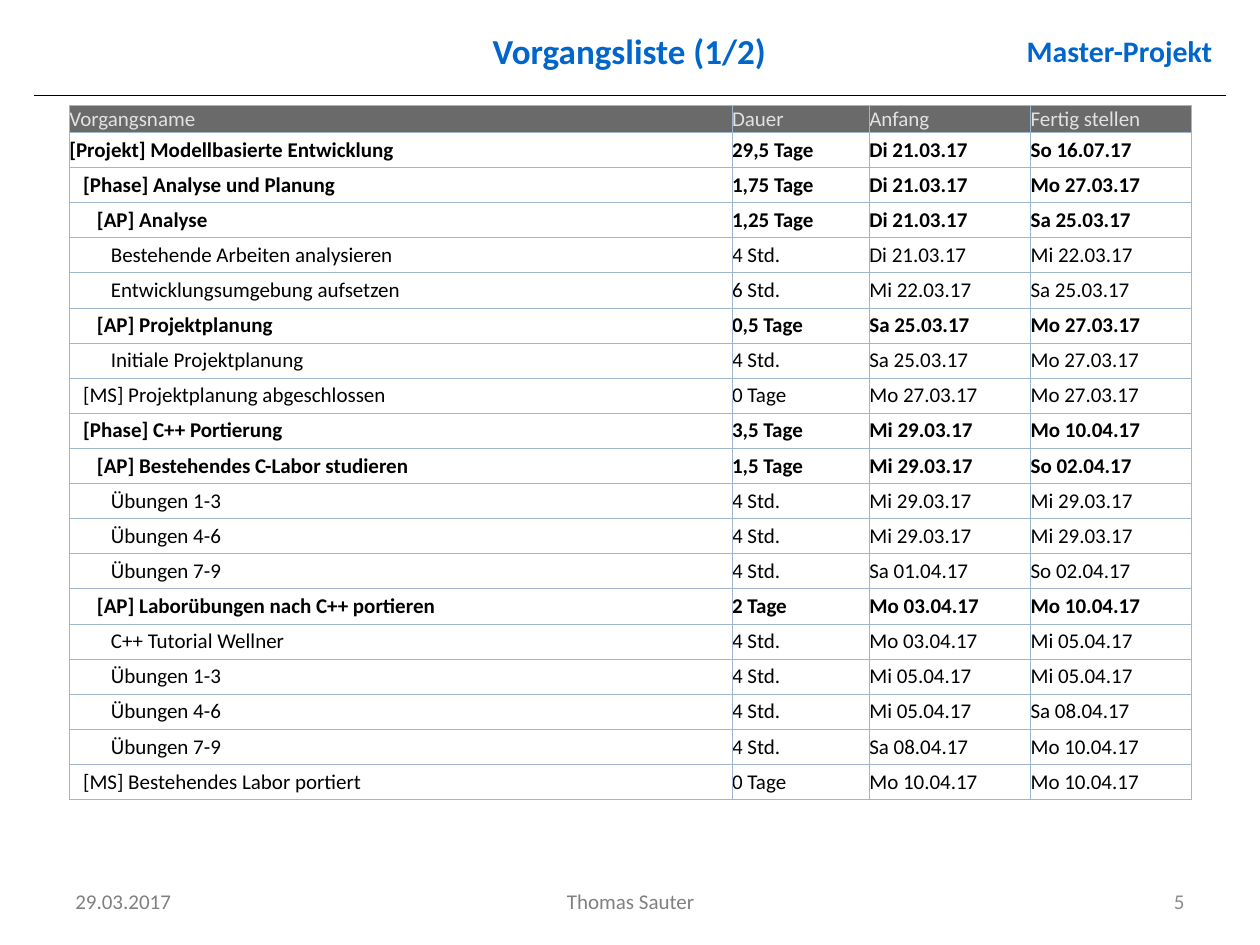
from lxml import etree
from pptx import Presentation
from pptx import util as u
from pptx.dml.color import RGBColor
from pptx.enum import shapes, text
from pptx.oxml.ns import qn

FONT = "Calibri"
BLUE, GREY = "0066CC", "808080"
COLUMN_WIDTHS = (5.26, 1.09, 1.28, 1.28)
TABLE_HEIGHT, HEADER_HEIGHT = 5.51, 0.21
LEVEL_INDENT = 0.11
SUMMARY_TAGS = ("[Projekt]", "[Phase]", "[AP]")
HEADINGS = ("Vorgangsname", "Dauer", "Anfang", "Fertig stellen")

# Outline level, task name, duration, start, finish
TASKS = [
    (0, "[Projekt] Modellbasierte Entwicklung", "29,5 Tage", "Di 21.03.17", "So 16.07.17"),
    (1, "[Phase] Analyse und Planung", "1,75 Tage", "Di 21.03.17", "Mo 27.03.17"),
    (2, "[AP] Analyse", "1,25 Tage", "Di 21.03.17", "Sa 25.03.17"),
    (3, "Bestehende Arbeiten analysieren", "4 Std.", "Di 21.03.17", "Mi 22.03.17"),
    (3, "Entwicklungsumgebung aufsetzen", "6 Std.", "Mi 22.03.17", "Sa 25.03.17"),
    (2, "[AP] Projektplanung", "0,5 Tage", "Sa 25.03.17", "Mo 27.03.17"),
    (3, "Initiale Projektplanung", "4 Std.", "Sa 25.03.17", "Mo 27.03.17"),
    (1, "[MS] Projektplanung abgeschlossen", "0 Tage", "Mo 27.03.17", "Mo 27.03.17"),
    (1, "[Phase] C++ Portierung", "3,5 Tage", "Mi 29.03.17", "Mo 10.04.17"),
    (2, "[AP] Bestehendes C-Labor studieren", "1,5 Tage", "Mi 29.03.17", "So 02.04.17"),
    (3, "Übungen 1-3", "4 Std.", "Mi 29.03.17", "Mi 29.03.17"),
    (3, "Übungen 4-6", "4 Std.", "Mi 29.03.17", "Mi 29.03.17"),
    (3, "Übungen 7-9", "4 Std.", "Sa 01.04.17", "So 02.04.17"),
    (2, "[AP] Laborübungen nach C++ portieren", "2 Tage", "Mo 03.04.17", "Mo 10.04.17"),
    (3, "C++ Tutorial Wellner", "4 Std.", "Mo 03.04.17", "Mi 05.04.17"),
    (3, "Übungen 1-3", "4 Std.", "Mi 05.04.17", "Mi 05.04.17"),
    (3, "Übungen 4-6", "4 Std.", "Mi 05.04.17", "Sa 08.04.17"),
    (3, "Übungen 7-9", "4 Std.", "Sa 08.04.17", "Mo 10.04.17"),
    (1, "[MS] Bestehendes Labor portiert", "0 Tage", "Mo 10.04.17", "Mo 10.04.17"),
]


def color(value):
    return RGBColor.from_string(value)


def write(frame, content, size, ink, bold=False, align=text.PP_ALIGN.LEFT):
    frame.text = content
    para = frame.paragraphs[0]
    para.alignment = align
    font = para.runs[0].font
    font.name, font.size, font.bold = FONT, u.Pt(size), bold
    font.color.rgb = color(ink)


def format_box(box, place, content, size, ink, bold, align):
    box.left, box.top, box.width, box.height = map(u.Inches, place)
    frame = box.text_frame
    frame.word_wrap = True
    frame.auto_size = text.MSO_AUTO_SIZE.NONE
    frame.vertical_anchor = text.MSO_ANCHOR.MIDDLE
    write(frame, content, size, ink, bold, align)


def add_text(page, place, content, size, ink, bold=False, align=text.PP_ALIGN.LEFT):
    box = page.shapes.add_textbox(*map(u.Inches, place))
    format_box(box, place, content, size, ink, bold, align)


def add_rule(page):
    rule = page.shapes.add_connector(
        shapes.MSO_CONNECTOR.STRAIGHT,
        u.Inches(0.27), u.Inches(0.76), u.Inches(9.73), u.Inches(0.76))
    rule.line.color.rgb = color("000000")
    rule.line.width = u.Pt(0.75)
    etree.SubElement(rule._element.spPr, qn("a:effectLst"))


def set_borders(cell, ink, width):
    properties = cell._tc.get_or_add_tcPr()
    for side in ("lnL", "lnR", "lnT", "lnB"):
        border = etree.SubElement(properties, qn("a:" + side), w=str(u.Pt(width)))
        fill = etree.SubElement(border, qn("a:solidFill"))
        etree.SubElement(fill, qn("a:srgbClr"), val=ink)


def format_cell(cell, content, ink, fill, bold=False, level=0):
    cell.margin_left = u.Inches(LEVEL_INDENT * level)
    cell.margin_right = cell.margin_top = cell.margin_bottom = 0
    cell.vertical_anchor = text.MSO_ANCHOR.MIDDLE
    write(cell.text_frame, content, 12, ink, bold)
    set_borders(cell, "9EB6CE", 0.5)
    cell.fill.solid()
    cell.fill.fore_color.rgb = color(fill)


def add_task_table(page):
    table = page.shapes.add_table(
        len(TASKS) + 1, len(HEADINGS), u.Inches(0.55), u.Inches(0.84),
        u.Inches(sum(COLUMN_WIDTHS)), u.Inches(TABLE_HEIGHT)).table
    for column, width in zip(table.columns, COLUMN_WIDTHS):
        column.width = u.Inches(width)
    for row in table.rows:
        row.height = u.Inches((TABLE_HEIGHT - HEADER_HEIGHT) / len(TASKS))
    table.rows[0].height = u.Inches(HEADER_HEIGHT)

    for column, heading in enumerate(HEADINGS):
        format_cell(table.cell(0, column), heading, "E2E2E2", "6A6A6A")
    for row, (level, *values) in enumerate(TASKS, start=1):
        bold = values[0].startswith(SUMMARY_TAGS)
        for column, value in enumerate(values):
            format_cell(table.cell(row, column), value, "000000", "FFFFFF",
                        bold, level if column == 0 else 0)


def main():
    deck = Presentation()
    deck.slide_width, deck.slide_height = u.Inches(10), u.Inches(7.5)
    page = deck.slides.add_slide(deck.slide_layouts[5])
    center, right = text.PP_ALIGN.CENTER, text.PP_ALIGN.RIGHT

    # Header
    add_rule(page)
    format_box(page.shapes.title, (2.12, 0.2, 5.75, 0.4),
               "Vorgangsliste (1/2)", 20, BLUE, True, center)
    add_text(page, (7.99, 0.18, 1.73, 0.44), "Master-Projekt", 17, BLUE, True, right)

    # Footer
    add_text(page, (0.5, 6.95, 2.33, 0.4), "29.03.2017", 12, GREY)
    add_text(page, (3.42, 6.95, 3.17, 0.4), "Thomas Sauter", 12, GREY, align=center)
    add_text(page, (7.17, 6.95, 2.33, 0.4), "5", 12, "8C8C8C", align=right)

    # Task list
    add_task_table(page)
    deck.save("out.pptx")


if __name__ == "__main__":
    main()
